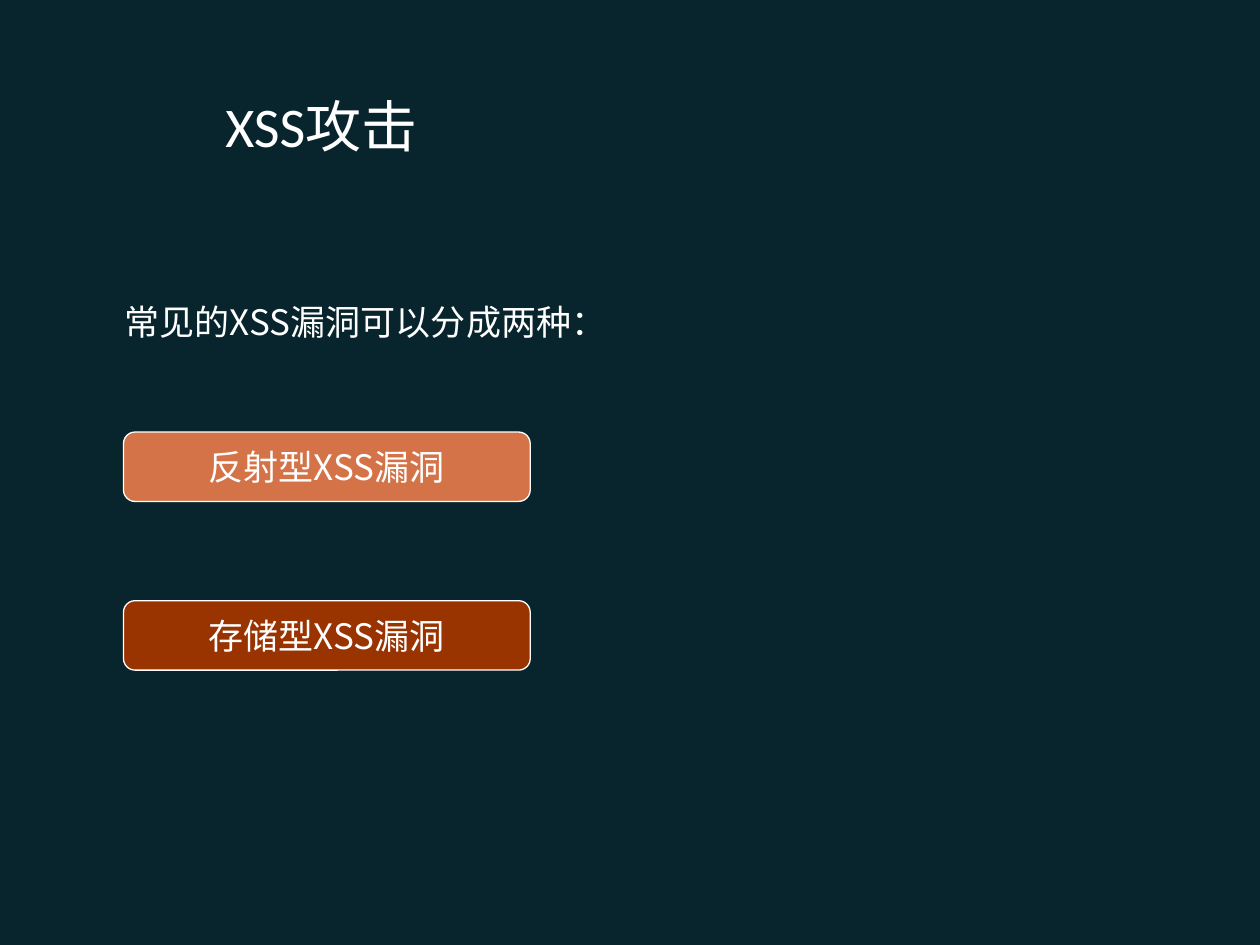
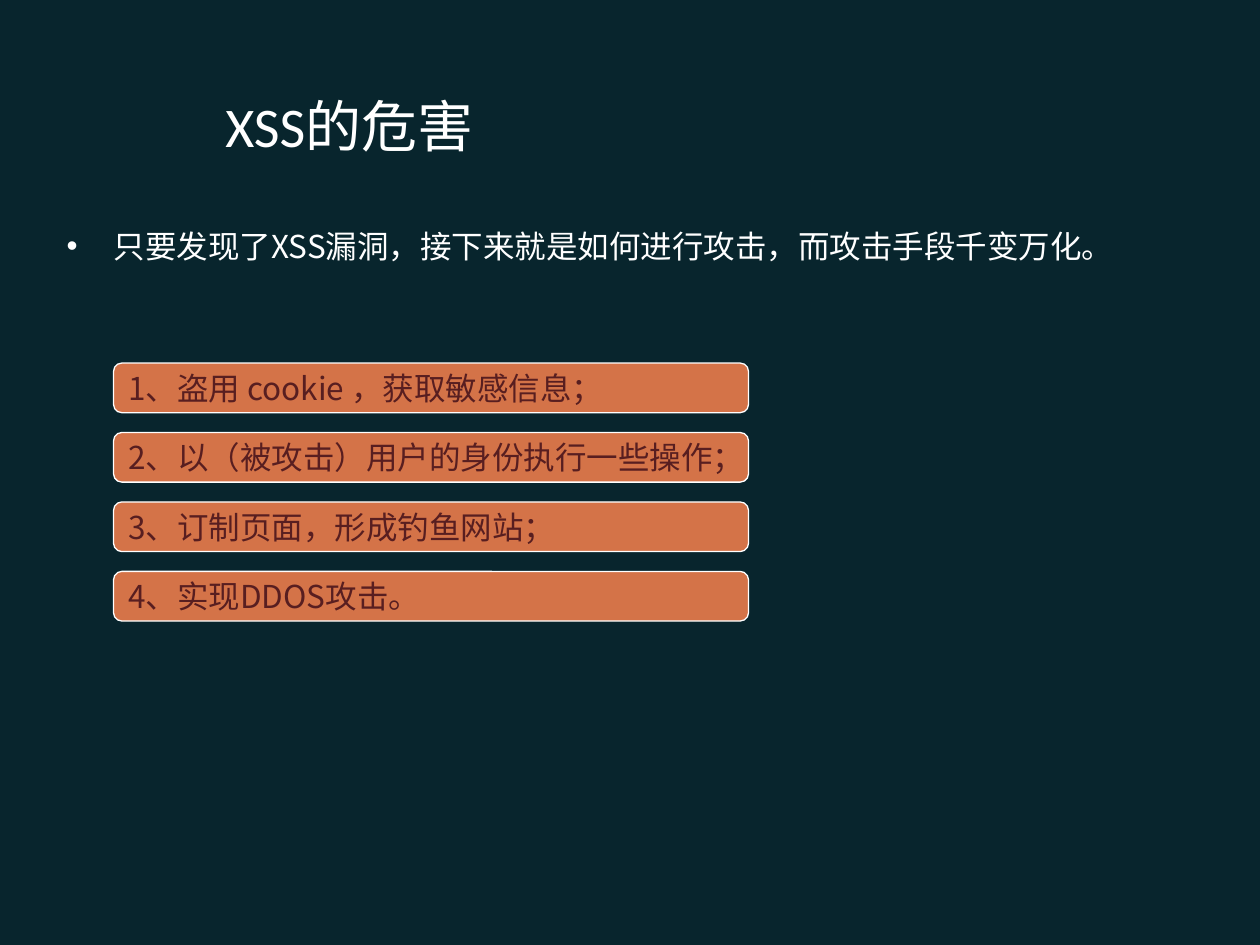
from dataclasses import dataclass

from lxml.etree import SubElement
from pptx import Presentation
from pptx.dml.color import RGBColor as Rgb
from pptx.enum.shapes import MSO_SHAPE as Shape
from pptx.enum.text import MSO_ANCHOR as Anchor, MSO_AUTO_SIZE as AutoSize, PP_ALIGN as Align
from pptx.oxml.ns import qn
from pptx.util import Cm, Pt


@dataclass(frozen=True)
class Theme:
    background: str = "08252D"
    light: str = "FFFFFF"
    orange: str = "D47348"
    rust: str = "993300"
    dark_red: str = "581E20"
    title_font: str = "Calibri"
    body_font: str = "Noto Sans CJK SC"
    title_size: int = 32
    body_size: int = 20
    list_size: int = 18


THEME = Theme()
TITLE_BOX = (4.29, 1.52, 19.81, 2.01)
BULLET_INDENT = 0.95


def place(shape, box):
    """Move a shape to a (left, top, width, height) box in centimetres."""
    shape.left, shape.top, shape.width, shape.height = map(Cm, box)


def write(frame, text, *, size, color=THEME.light, font=THEME.body_font,
          align=Align.LEFT, anchor=Anchor.TOP, bullet=None, wrap=True):
    """Fill a text frame with one formatted paragraph."""
    frame.word_wrap = wrap
    frame.auto_size = AutoSize.NONE
    frame.vertical_anchor = anchor
    para = frame.paragraphs[0]
    para.alignment = align
    para.space_before = Pt(0)

    # Bullet and hanging indent
    props = para._p.get_or_add_pPr()
    indent = Cm(BULLET_INDENT) if bullet else 0
    props.set("marL", str(indent))
    props.set("indent", str(-indent))
    if bullet:
        SubElement(props, qn("a:buChar")).set("char", bullet)
    else:
        SubElement(props, qn("a:buNone"))

    span = para.add_run()
    span.text = text
    span.font.size = Pt(size)
    span.font.name = font
    span.font.color.rgb = Rgb.from_string(color)
    # East Asian typeface
    SubElement(span._r.get_or_add_rPr(), qn("a:ea")).set("typeface", THEME.body_font)


def add_page(deck, title, intro, intro_box, **intro_format):
    """Add a page with its title and introductory body text."""
    page = deck.slides.add_slide(deck.slide_layouts[1])
    place(page.shapes.title, TITLE_BOX)
    write(page.shapes.title.text_frame, title, size=THEME.title_size,
          font=THEME.title_font, anchor=Anchor.MIDDLE)
    body = page.placeholders[1]
    place(body, intro_box)
    write(body.text_frame, intro, **intro_format)
    return page


def add_bars(page, box, pitch, labels, fills, **text_format):
    """Stack rounded bars downwards from the first bar's box."""
    left, top, width, height = box
    for row, (label, fill) in enumerate(zip(labels, fills)):
        bar = page.shapes.add_shape(Shape.ROUNDED_RECTANGLE, 0, 0, 0, 0)
        place(bar, (left, top + row * pitch, width, height))
        bar.shadow.inherit = False
        bar.fill.solid()
        bar.fill.fore_color.rgb = Rgb.from_string(fill)
        bar.line.color.rgb = Rgb.from_string(THEME.light)
        bar.line.width = Pt(0.75)
        write(bar.text_frame, label, anchor=Anchor.MIDDLE, **text_format)


def build_types_page(deck):
    page = add_page(deck, "XSS攻击", "常见的XSS漏洞可以分成两种：",
                    (2.26, 5.94, 21.9, 1.5), size=THEME.body_size)
    add_bars(page, (2.49, 8.71, 8.2, 1.4), 3.4,
             ["反射型XSS漏洞", "存储型XSS漏洞"], [THEME.orange, THEME.rust],
             size=THEME.body_size, align=Align.CENTER)


def build_harm_page(deck):
    page = add_page(deck, "XSS的危害",
                    "只要发现了XSS漏洞，接下来就是如何进行攻击，而攻击手段千变万化。",
                    (1.09, 4.45, 23.06, 1.5), size=THEME.list_size, bullet="•")
    harms = ["1、盗用 cookie ，获取敏感信息；",
             "2、以（被攻击）用户的身份执行一些操作；",
             "3、订制页面，形成钓鱼网站；",
             "4、实现DDOS攻击。"]
    add_bars(page, (2.29, 7.32, 12.8, 1), 1.4, harms, [THEME.orange] * len(harms),
             size=THEME.list_size, color=THEME.dark_red, wrap=False)


def main():
    deck = Presentation()
    deck.slide_width, deck.slide_height = Cm(25.4), Cm(19.05)
    # Shared background
    backdrop = deck.slide_master.background.fill
    backdrop.solid()
    backdrop.fore_color.rgb = Rgb.from_string(THEME.background)
    build_types_page(deck)
    build_harm_page(deck)
    deck.save("out.pptx")


if __name__ == "__main__":
    main()
